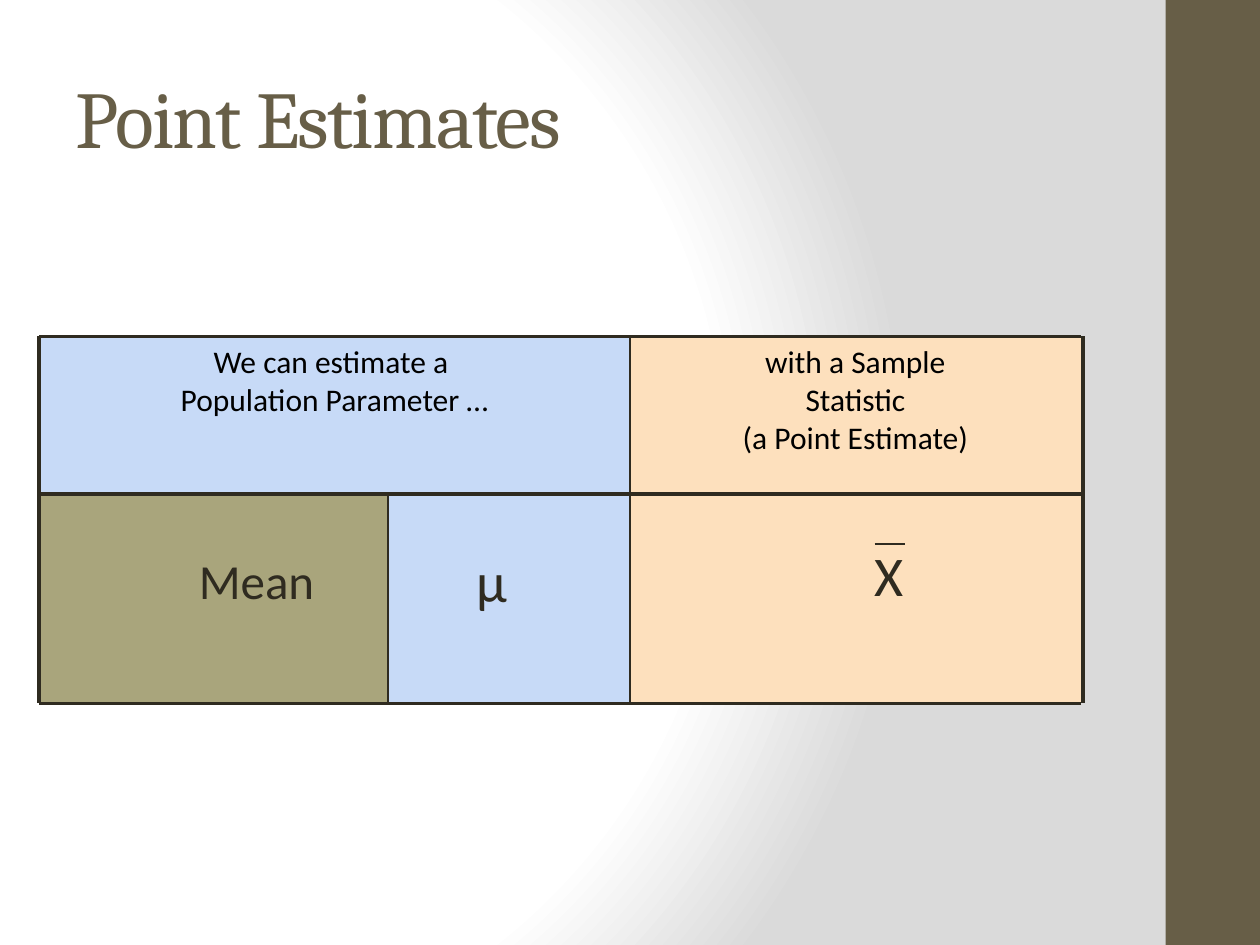
from dataclasses import dataclass

from lxml.etree import SubElement
from pptx import Presentation
from pptx.dml.color import RGBColor
from pptx.enum.shapes import MSO_CONNECTOR, MSO_SHAPE
from pptx.enum.text import MSO_ANCHOR, MSO_AUTO_SIZE, PP_ALIGN
from pptx.oxml import parse_xml
from pptx.oxml.ns import nsdecls, qn
from pptx.util import Cm, Pt


@dataclass(frozen=True)
class Theme:
    heading_font: str = "Cambria"
    body_font: str = "Calibri"
    brown: str = "675E47"
    ink: str = "2F2B20"
    black: str = "000000"
    olive: str = "A9A57C"
    blue: str = "C7DAF7"
    peach: str = "FDE0BD"
    white: str = "FFFFFF"
    gray: str = "DADADA"
    title_size: float = 46
    symbol_size: float = 32
    label_size: float = 28
    header_size: float = 18


def write_text(shape, *paragraphs, font, size, color, align=PP_ALIGN.LEFT,
               anchor=MSO_ANCHOR.TOP, wrap=True, spacing=None):
    """Fill a shape with paragraphs; a newline inside one is a line break."""
    frame = shape.text_frame
    frame.word_wrap = wrap
    frame.auto_size = MSO_AUTO_SIZE.NONE
    frame.vertical_anchor = anchor
    for index, text in enumerate(paragraphs):
        paragraph = frame.add_paragraph() if index else frame.paragraphs[0]
        paragraph.text = text
        paragraph.alignment = align
        for run in paragraph.runs:
            run.font.name = font
            run.font.size = Pt(size)
            run.font.color.rgb = RGBColor.from_string(color)
            if spacing is not None:
                run.font._element.set("spc", str(round(spacing * 100)))


class SlideBuilder:
    def __init__(self, slide, theme):
        self.slide = slide
        self.theme = theme

    def background(self):
        """Set a round gradient that is centred left of the middle."""
        stops = [(0, self.theme.white), (75, self.theme.white), (100, self.theme.gray)]
        stop_xml = "".join(
            f'<a:gs pos="{position * 1000}"><a:srgbClr val="{color}"/></a:gs>'
            for position, color in stops)
        gradient = parse_xml(
            f'<a:gradFill {nsdecls("a")} rotWithShape="1"><a:gsLst>{stop_xml}</a:gsLst>'
            '<a:path path="circle"><a:fillToRect l="20000" t="50000" r="100000" b="50000"/>'
            '</a:path></a:gradFill>')
        fill = self.slide.background.fill
        fill.solid()
        solid = self.slide._element.find(".//" + qn("p:bgPr")).find(qn("a:solidFill"))
        solid.getparent().replace(solid, gradient)

    def title(self, text, left, top, width, height):
        shape = self.slide.shapes.title
        shape.left, shape.top = Cm(left), Cm(top)
        shape.width, shape.height = Cm(width), Cm(height)
        write_text(shape, text, font=self.theme.heading_font, size=self.theme.title_size,
                   color=self.theme.brown, anchor=MSO_ANCHOR.MIDDLE, spacing=-1)

    def rectangle(self, left, top, right, bottom, color):
        shape = self.slide.shapes.add_shape(
            MSO_SHAPE.RECTANGLE, Cm(left), Cm(top), Cm(right - left), Cm(bottom - top))
        shape.shadow.inherit = False
        shape.fill.solid()
        shape.fill.fore_color.rgb = RGBColor.from_string(color)
        shape.line.fill.background()
        return shape

    def header(self, shape, *paragraphs):
        write_text(shape, *paragraphs, font=self.theme.body_font, size=self.theme.header_size,
                   color=self.theme.black, align=PP_ALIGN.CENTER)

    def label(self, text, left, top, width, height, size, **text_format):
        shape = self.slide.shapes.add_textbox(Cm(left), Cm(top), Cm(width), Cm(height))
        write_text(shape, text, font=self.theme.body_font, size=size,
                   color=self.theme.ink, **text_format)

    def line(self, start, end, width):
        connector = self.slide.shapes.add_connector(
            MSO_CONNECTOR.STRAIGHT, *map(Cm, start + end))
        connector.line.color.rgb = RGBColor.from_string(self.theme.ink)
        connector.line.width = Pt(width)
        SubElement(connector._element.spPr, qn("a:effectLst"))


def main():
    presentation = Presentation()
    presentation.slide_width, presentation.slide_height = Cm(25.4), Cm(19.05)
    theme = Theme()
    slide = presentation.slides.add_slide(presentation.slide_layouts[5])
    builder = SlideBuilder(slide, theme)

    builder.background()
    builder.rectangle(23.5, 0, 25.4, 19.05, theme.brown)
    builder.title("Point Estimates", 1.27, 0.76, 21.16, 3.18)

    left, symbol_left, statistic_left, right = 0.79, 7.82, 12.7, 21.79
    top, middle, bottom = 6.78, 9.96, 14.18
    frame_right = 21.84

    parameter = builder.rectangle(left, top, statistic_left, middle, theme.blue)
    builder.header(parameter, "We can estimate a ", "Population Parameter …")
    statistic = builder.rectangle(statistic_left, top, right, middle, theme.peach)
    builder.header(statistic, "with a Sample\nStatistic", "(a Point Estimate)")

    builder.rectangle(left, middle, symbol_left, bottom, theme.olive)
    builder.rectangle(symbol_left, middle, statistic_left, bottom, theme.blue)
    builder.rectangle(statistic_left, middle, right, bottom, theme.peach)

    builder.label("Mean", 3.76, 10.97, 2.97, 1.42, theme.label_size, wrap=False)
    builder.label("μ", 9.07, 10.9, 1.7, 1.6, theme.symbol_size, align=PP_ALIGN.CENTER)
    builder.label("X", 17.37, 10.77, 1.24, 1.6, theme.symbol_size, wrap=False)
    builder.line((17.63, 10.97), (18.24, 10.97), 1.5)

    for y in (top, middle, bottom):
        builder.line((left, y), (right, y), 2)
    for x, start, width in ((left, top, 2.25), (symbol_left, middle, 1.5),
                            (statistic_left, top, 1.5), (frame_right, top, 2.25)):
        builder.line((x, start), (x, bottom), width)

    presentation.save("out.pptx")


if __name__ == "__main__":
    main()
